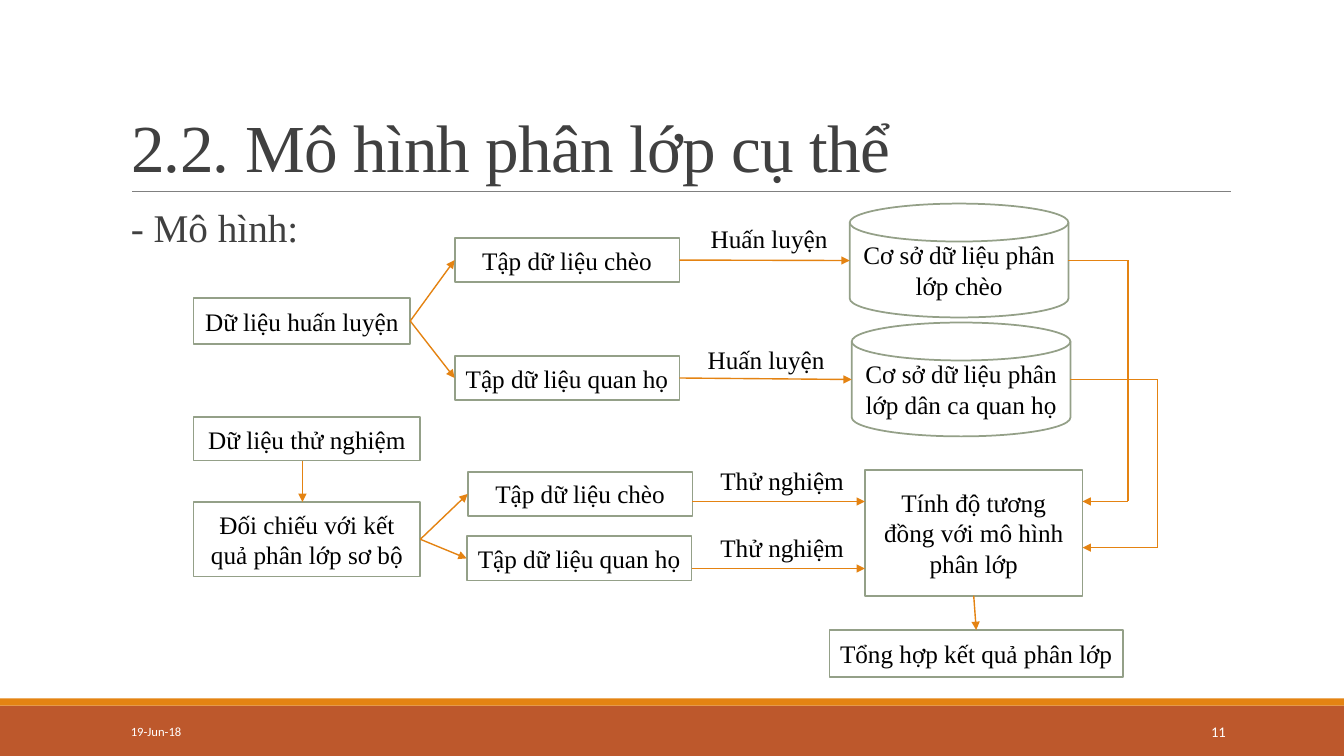
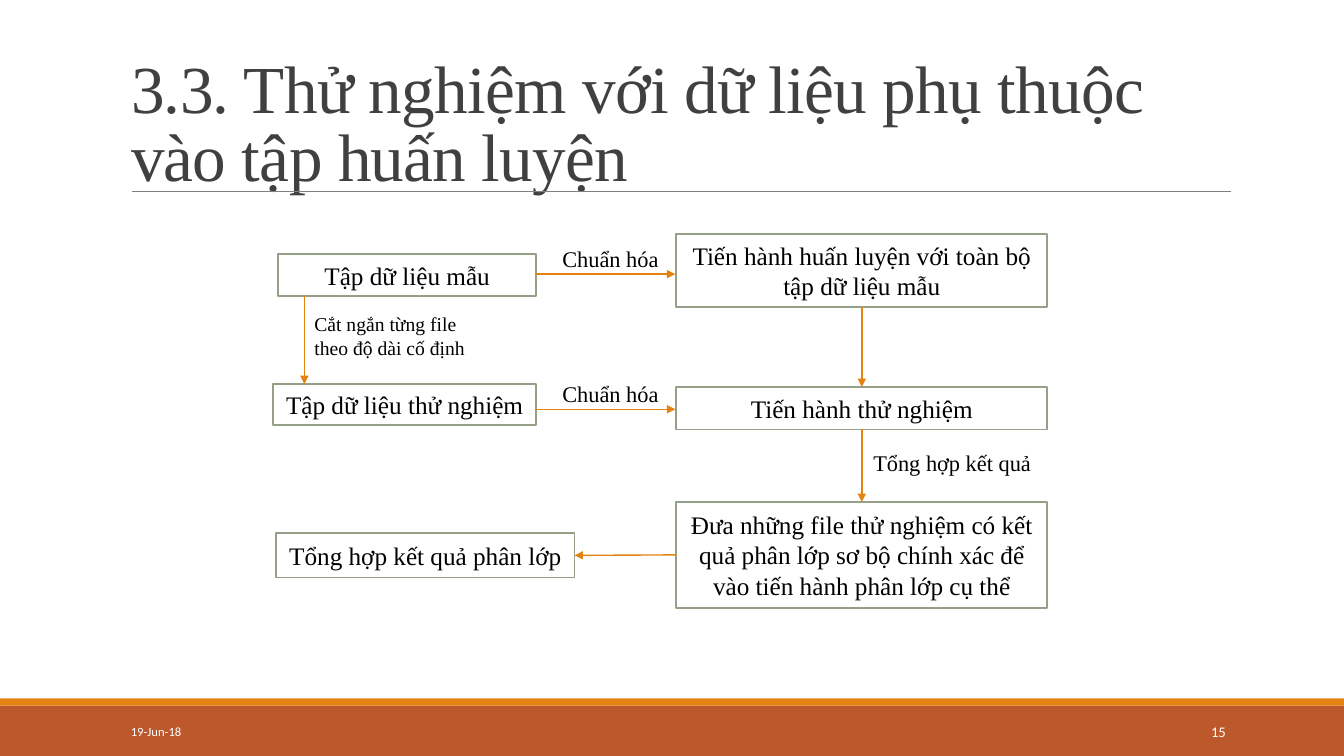
from itertools import pairwise

from lxml import etree
from pptx import Presentation
from pptx.dml.color import RGBColor
from pptx.enum.shapes import MSO_CONNECTOR as CONN, MSO_SHAPE as SHAPE
from pptx.enum.text import MSO_ANCHOR as ANCHOR, MSO_AUTO_SIZE as FIT, PP_ALIGN as ALIGN
from pptx.oxml.ns import qn
from pptx.util import Inches, Pt

# Slide size and an 80 x 45 grid of square cells
COLS, ROWS = 80, 45
WIDTH, HEIGHT = Inches(13.33), Inches(7.5)

# Shared colours and fonts
ORANGE, RUST, SAGE = "E48312", "BD582C", "94A088"
WHITE, BLACK, DARK, GREY = "FFFFFF", "000000", "404040", "808080"
SERIF, SANS = "Times New Roman", "Calibri"

# Connection sites of a rectangle: index and share of width and height
SITES = {"top": (0, 0.5, 0), "left": (1, 0, 0.5),
         "bottom": (2, 0.5, 1), "right": (3, 1, 0.5)}


def rgb(value):
    return RGBColor.from_string(value)


def col(n):
    return round(WIDTH * n / COLS)


def row(n):
    return round(HEIGHT * n / ROWS)


def area(x, y, w, h):
    return col(x), row(y), col(w), row(h)


def set_all(obj, values):
    for name, value in values.items():
        setattr(obj, name, value)


# Text
def write(sp, text, size, color=BLACK, font=SERIF, align=ALIGN.LEFT,
          anchor=ANCHOR.TOP, spacing=None):
    tf = sp.text_frame
    set_all(tf, {"word_wrap": True, "auto_size": FIT.NONE, "vertical_anchor": anchor})
    p = tf.paragraphs[0]
    set_all(p, {"alignment": align, "line_spacing": spacing})
    r = p.add_run()
    r.text = text
    set_all(r.font, {"size": Pt(size), "name": font})
    r.font.color.rgb = rgb(color)
    return r


def label(s, text, x, y, w, h, size=18, **style):
    sp = s.shapes.add_textbox(*area(x, y, w, h))
    write(sp, text, size, **style)


# Shapes
def block(s, kind, x, y, w, h, fill, line=None):
    sp = s.shapes.add_shape(kind, *area(x, y, w, h))
    sp.shadow.inherit = False
    sp.fill.solid()
    sp.fill.fore_color.rgb = rgb(fill)
    if line:
        sp.line.color.rgb = rgb(line)
        sp.line.width = Pt(1.25)
    else:
        sp.line.fill.background()
    return sp


def node(s, text, x, y, w, h, kind=SHAPE.RECTANGLE):
    sp = block(s, kind, x, y, w, h, WHITE, SAGE)
    write(sp, text, 18, align=ALIGN.CENTER, anchor=ANCHOR.MIDDLE)
    return sp


# Lines and arrows
def connector(s, start, end, color=ORANGE, width=1, arrow=True):
    cx = s.shapes.add_connector(CONN.STRAIGHT, *start, *end)
    cx.line.color.rgb = rgb(color)
    cx.line.width = Pt(width)
    if arrow:
        etree.SubElement(cx.line._get_or_add_ln(), qn("a:tailEnd"), type="triangle")
    etree.SubElement(cx._element.spPr, qn("a:effectLst"))
    return cx


def route(s, *points, **style):
    """Draw a chain of grid points with an arrowhead at the end."""
    spots = [(col(x), row(y)) for x, y in points]
    legs = list(pairwise(spots))
    for start, end in legs[:-1]:
        connector(s, start, end, arrow=False)
    connector(s, *legs[-1], **style)


def link(s, a, side_a, b, side_b):
    """Join two nodes, and glue the arrow to the rectangles."""
    ends = []
    for sp, side in ((a, side_a), (b, side_b)):
        site, fx, fy = SITES[side]
        ends.append((sp, site, (round(sp.left + fx * sp.width),
                                round(sp.top + fy * sp.height))))
    cx = connector(s, ends[0][2], ends[1][2])
    for (sp, site, _), glue in zip(ends, (cx.begin_connect, cx.end_connect)):
        if sp.auto_shape_type == SHAPE.RECTANGLE:
            glue(sp, site)


# Title, bands and footer of every slide
def new_slide(prs, title, number, title_row):
    s = prs.slides.add_slide(prs.slide_layouts[5])
    block(s, SHAPE.RECTANGLE, 0, 42, COLS, 3, RUST)
    block(s, SHAPE.RECTANGLE, 0, 41.58, COLS, 0.42, ORANGE)
    route(s, (7.87, 11.4), (73.27, 11.4), color=GREY, width=0.5, arrow=False)

    sp = s.shapes.title
    set_all(sp, dict(zip(("left", "top", "width", "height"),
                         area(7.2, title_row, 66, 9.53))))
    r = write(sp, title, 48, DARK, anchor=ANCHOR.BOTTOM, spacing=0.85)
    r.font._element.set("spc", "-50")

    footer = {"color": WHITE, "font": SANS, "anchor": ANCHOR.MIDDLE}
    label(s, "19-Jun-18", 7.2, 42.36, 16.2, 2.4, 9, **footer)
    label(s, number, 64.98, 42.36, 8.58, 2.4, 10.5, align=ALIGN.RIGHT, **footer)
    return s


def model_slide(prs):
    s = new_slide(prs, "2.2. Mô hình phân lớp cụ thể", "11", 1.87)
    label(s, "- Mô hình:", 7.2, 12.12, 18, 3.4, 28, color=DARK, spacing=0.9)

    # Training: one source, two data sets, two databases
    source = node(s, "Dữ liệu huấn luyện", 11.52, 17.76, 12.9, 2.7)
    branches = (
        ("Tập dữ liệu chèo", 14.16, "Cơ sở dữ liệu phân lớp chèo", 50.58, 12.12, 40.26, 13.02),
        ("Tập dữ liệu quan họ", 21.18, "Cơ sở dữ liệu phân lớp dân ca quan họ",
         50.7, 19.2, 40.08, 20.22),
    )
    for name, top, store, store_x, store_y, label_x, label_y in branches:
        data = node(s, name, 27.06, top, 13.38, 2.64)
        disk = node(s, store, store_x, store_y, 13.02, 6.78, SHAPE.FLOWCHART_MAGNETIC_DISK)
        link(s, source, "right", data, "left")
        link(s, data, "right", disk, "left")
        label(s, "Huấn luyện", label_x, label_y, 11.04, 2.4, align=ALIGN.CENTER)

    # Testing: comparison, two data sets, similarity
    node(s, "Dữ liệu thử nghiệm", 11.52, 24.84, 13.5, 2.58)
    compare = node(s, "Đối chiếu với kết quả phân lớp sơ bộ", 11.52, 29.88, 13.5, 4.44)
    route(s, (18, 27.42), (18, 29.88))
    similarity = node(s, "Tính độ tương đồng với mô hình phân lớp", 51.48, 27.96, 12.96, 7.5)
    tests = (("Tập dữ liệu chèo", 27.84, 28.08, 29.85, 27.42),
             ("Tập dữ liệu quan họ", 27.78, 31.92, 33.84, 31.38))
    for name, x, y, arrow_y, label_y in tests:
        data = node(s, name, x, y, 13.38, 2.64)
        link(s, compare, "right", data, "left")
        route(s, (41.2, arrow_y), (51.48, arrow_y))
        label(s, "Thử nghiệm", 41.04, label_y, 11.04, 2.4, align=ALIGN.CENTER)

    # Databases feed the similarity step, which gives the result
    for x, start_y, turn_x, end_y in ((63.6, 15.5, 67.14, 29.85), (63.72, 22.6, 68.9, 32.6)):
        route(s, (x, start_y), (turn_x, start_y), (turn_x, end_y), (64.44, end_y))
    result = node(s, "Tổng hợp kết quả phân lớp", 49.38, 37.5, 17.46, 2.82)
    link(s, similarity, "bottom", result, "top")


def experiment_slide(prs):
    s = new_slide(prs, "3.3. Thử nghiệm với dữ liệu phụ thuộc vào tập huấn luyện", "15", 2.4)

    # Data on the left, steps on the right
    node(s, "Tập dữ liệu mẫu", 16.56, 15.12, 15.36, 2.52)
    node(s, "Tập dữ liệu thử nghiệm", 16.26, 22.86, 15.66, 2.46)
    result = node(s, "Tổng hợp kết quả phân lớp", 16.44, 31.74, 17.76, 2.64)
    steps = [node(s, text, 40.26, y, 22.08, h) for text, y, h in (
        ("Tiến hành huấn luyện với toàn bộ tập dữ liệu mẫu", 13.92, 4.38),
        ("Tiến hành thử nghiệm", 23.04, 2.52),
        ("Đưa những file thử nghiệm có kết quả phân lớp sơ bộ chính xác để "
         "vào tiến hành phân lớp cụ thể", 29.88, 6.3))]

    # Arrows
    for upper, lower in pairwise(steps):
        link(s, upper, "bottom", lower, "top")
    link(s, steps[-1], "left", result, "right")
    route(s, (18.12, 17.64), (18.12, 22.86))
    for y in (16.32, 24.36):
        route(s, (31.92, y), (40.2, y))
        label(s, "Chuẩn hóa", 32.88, y - 2.04, 7.86, 2.22, 16)

    # Remaining arrow labels
    label(s, "Cắt ngắn từng file theo độ dài cố định", 18.12, 18.3, 10.38, 3.42, 14)
    label(s, "Tổng hợp kết quả", 50.1, 26.46, 13.14, 2.22, 16, align=ALIGN.CENTER)


def main():
    prs = Presentation()
    set_all(prs, {"slide_width": WIDTH, "slide_height": HEIGHT})
    model_slide(prs)
    experiment_slide(prs)
    prs.save("out.pptx")


if __name__ == "__main__":
    main()
